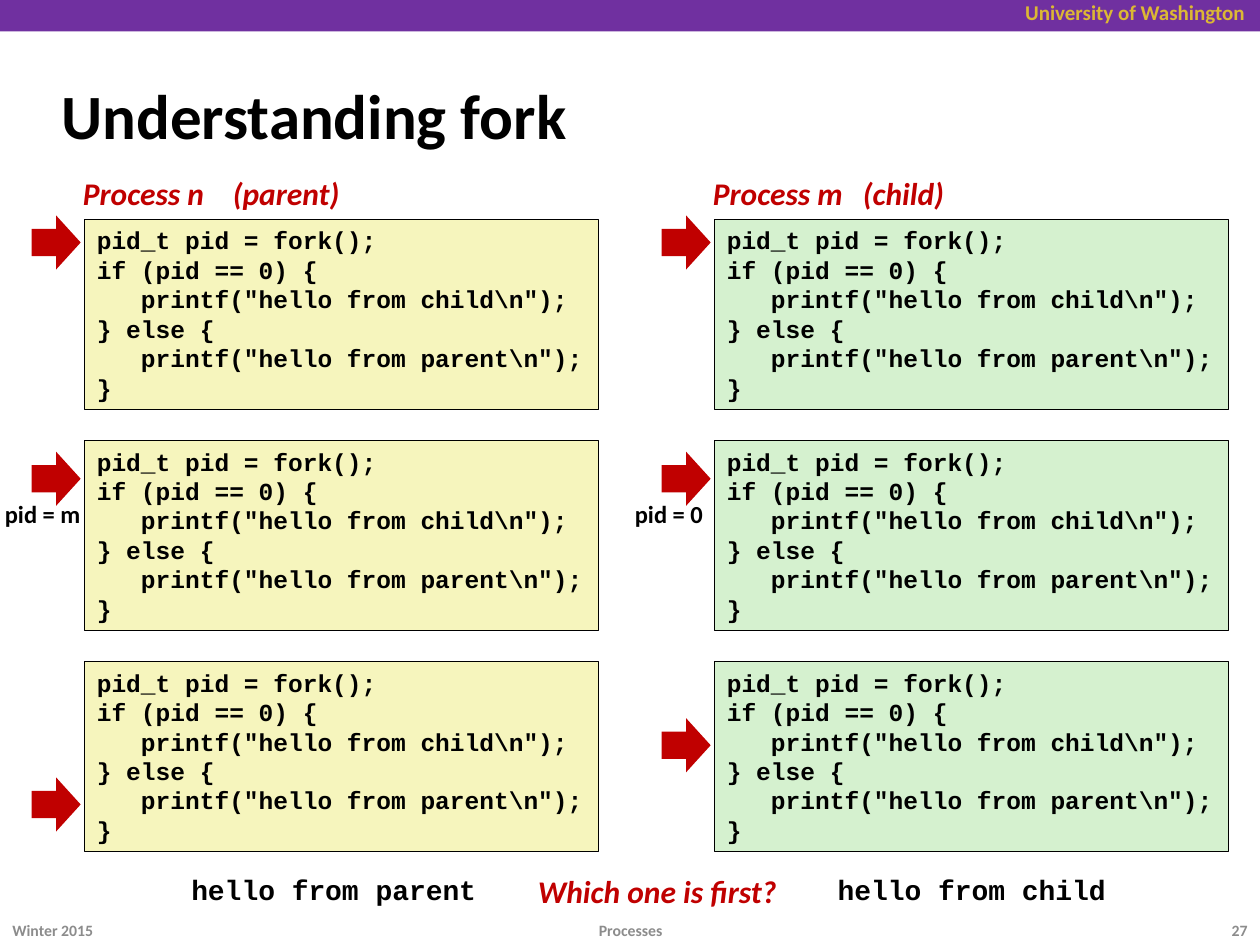
from pptx import Presentation
from pptx import util as u
from pptx.dml.color import RGBColor
from pptx.enum import shapes, text
from pptx.oxml.ns import qn
from lxml import etree

W, H = 10, 7.5
COL = W / 2
ROW = 1.755
COLORS = {"purple": "7030A0", "gold": "DCB834", "black": "000000", "red": "C00000",
          "yellow": "F6F5BD", "green": "D5F1CF", "gray": "8C8C8C"}
BODY, MONO = "Calibri", "Courier New"
STYLES = {
    "brand": ({"name": BODY, "size": u.Pt(12), "bold": True}, "gold"),
    "title": ({"name": BODY, "size": u.Pt(36), "bold": True}, "black"),
    "accent": ({"name": BODY, "size": u.Pt(18), "bold": True, "italic": True}, "red"),
    "code": ({"name": MONO, "size": u.Pt(14), "bold": True}, "black"),
    "output": ({"name": MONO, "size": u.Pt(16), "bold": True}, "black"),
    "label": ({"name": BODY, "size": u.Pt(14), "bold": True}, "black"),
    "footer": ({"name": BODY, "size": u.Pt(9), "bold": True}, "gray"),
}
LEFT, CENTER, RIGHT = text.PP_ALIGN.LEFT, text.PP_ALIGN.CENTER, text.PP_ALIGN.RIGHT
TOP, MIDDLE = text.MSO_ANCHOR.TOP, text.MSO_ANCHOR.MIDDLE
CODE = """pid_t pid = fork();
if (pid == 0) {
   printf("hello from child\\n");
} else {
   printf("hello from parent\\n");
}"""
PROCESSES = [
    {"heading": "Process n\t(parent)", "fill": "yellow", "pid": "pid = m",
     "arrows": (-0.03, 0.09, 0.92)},
    {"heading": "Process m\t(child)", "fill": "green", "pid": "pid = 0",
     "arrows": (-0.03, 0.09, 0.45)},
]


def rgb(name):
    return RGBColor.from_string(COLORS[name])


def write(sp, content, style, align=LEFT, anchor=TOP, wrap=False, tab=None):
    tf = sp.text_frame
    for key, value in {"word_wrap": wrap, "vertical_anchor": anchor}.items():
        setattr(tf, key, value)
    fmt, color = STYLES[style]
    for i, line in enumerate(content.split("\n")):
        p = tf.paragraphs[0] if i == 0 else tf.add_paragraph()
        p.alignment = align
        if tab:
            tabs = etree.SubElement(p._p.get_or_add_pPr(), qn("a:tabLst"))
            etree.SubElement(tabs, qn("a:tab"), pos=str(u.Inches(tab)), algn="l")
        for j, part in enumerate(line.split("\t")):
            if j:
                p.add_run().text = "\t"
            p.add_run().text = part
        for r in p.runs:
            for key, value in fmt.items():
                setattr(r.font, key, value)
            r.font.color.rgb = rgb(color)


def add_text(s, box, content, style, **layout):
    sp = s.shapes.add_textbox(*map(u.Inches, box))
    write(sp, content, style, **layout)


def add_block(s, kind, box, fill, line=None):
    sp = s.shapes.add_shape(kind, *map(u.Inches, box))
    sp.shadow.inherit = False
    sp.fill.solid()
    sp.fill.fore_color.rgb = rgb(fill)
    if line:
        sp.line.color.rgb = rgb(line)
        sp.line.width = u.Pt(0.25)
    else:
        sp.line.fill.background()
    return sp


def header(s, box):
    x, y, w, h = box
    add_block(s, shapes.MSO_SHAPE.RECTANGLE, box, "purple")
    add_text(s, (x + w - 2.67, y - 0.05, 2.65, 0.3), "University of Washington",
             "brand", align=RIGHT, wrap=True)


def process_column(s, box, process):
    x, y, w, h = box
    add_text(s, (x + 0.56, y, 2.4, 0.4), process["heading"], "accent", wrap=True, tab=1.19)
    for row, offset in enumerate(process["arrows"]):
        top = y + 0.41 + row * ROW
        sp = add_block(s, shapes.MSO_SHAPE.RECTANGLE, (x + 0.67, top, 4.08, 1.51),
                       process["fill"], "black")
        write(sp, CODE, "code")
        add_block(s, shapes.MSO_SHAPE.RIGHT_ARROW, (x + 0.25, top + offset, 0.39, 0.43), "red")
    add_text(s, (x - 0.06, y + 0.83 + ROW, 0.81, 0.34), process["pid"], "label", wrap=True)


def outputs(s, box):
    x, y, w, h = box
    add_text(s, (x + 0.142 * w, y, 2.5, h), "hello from parent", "output")
    add_text(s, (x + 0.417 * w, y - 0.01, 2.13, h), "Which one is first?", "accent")
    add_text(s, (x + 0.655 * w, y, 2.36, h), "hello from child", "output")


def footer(s, box):
    x, y, w, h = box
    parts = [("Winter 2015", 0, 0.3, LEFT), ("Processes", 0.342, 0.317, CENTER),
             ("27", 0.933, 0.067, RIGHT)]
    for content, start, share, align in parts:
        add_text(s, (x + start * w, y, share * w, h), content, "footer",
                 align=align, anchor=MIDDLE, wrap=True)


def main():
    prs = Presentation()
    prs.slide_width, prs.slide_height = u.Inches(W), u.Inches(H)
    s = prs.slides.add_slide(prs.slide_layouts[6])
    header(s, (0, 0, W, H / 30))
    add_text(s, (0.39, 0.49, 9.19, 0.83), "Understanding fork", "title",
             anchor=MIDDLE, wrap=True)
    for i, process in enumerate(PROCESSES):
        process_column(s, (i * COL, 1.33, COL, 3 * ROW), process)
    outputs(s, (0, 6.88, W, 0.37))
    footer(s, (0, 7.18, W, 0.4))
    prs.save("out.pptx")


if __name__ == "__main__":
    main()
